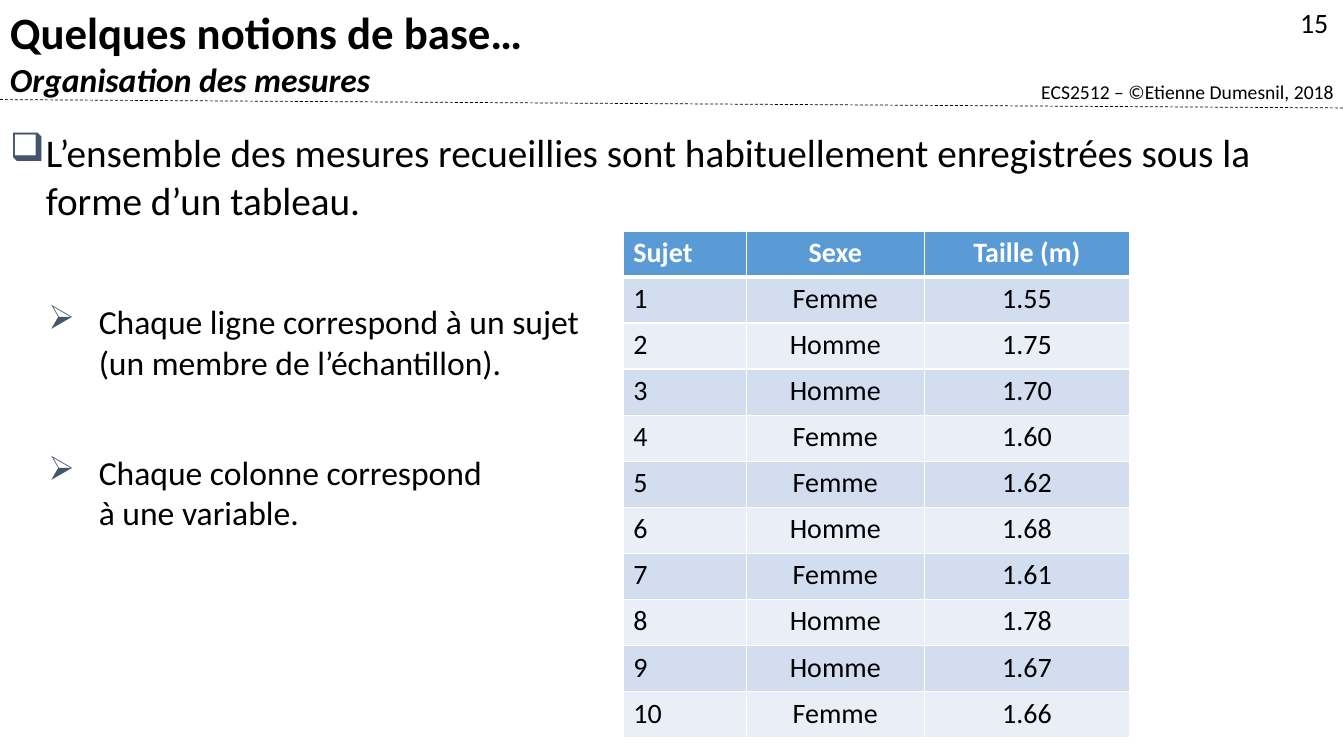
from lxml import etree
from pptx import Presentation
from pptx import util as u
from pptx.dml.color import RGBColor
from pptx.enum import dml, shapes, text
from pptx.oxml.ns import qn

SLIDE_WIDTH, SLIDE_HEIGHT = u.Cm(33.87), u.Cm(19.05)
LEFT, CENTER, RIGHT = text.PP_ALIGN.LEFT, text.PP_ALIGN.CENTER, text.PP_ALIGN.RIGHT
TOP, MIDDLE, BOTTOM = text.MSO_ANCHOR.TOP, text.MSO_ANCHOR.MIDDLE, text.MSO_ANCHOR.BOTTOM
BLACK, WHITE, SLATE = "000000", "FFFFFF", "44546A"
HEADER_BLUE, BANDS = "5B9BD5", ("D2DEEF", "EAEFF7")

HEADINGS = ("Sujet", "Sexe", "Taille (m)")
MEASURES = (
    ("Femme", "1.55"), ("Homme", "1.75"), ("Homme", "1.70"), ("Femme", "1.60"),
    ("Femme", "1.62"), ("Homme", "1.68"), ("Femme", "1.61"), ("Homme", "1.78"),
    ("Homme", "1.67"), ("Femme", "1.66"),
)


def color(hex_code):
    return RGBColor.from_string(hex_code)


def write(paragraph, words, size=20, ink=BLACK, bold=False, italic=False, align=LEFT):
    """Add one formatted run to a paragraph."""
    paragraph.alignment = align
    run = paragraph.add_run()
    run.text = words
    font = run.font
    font.name, font.size = "Calibri", u.Pt(size)
    font.bold, font.italic = bold, italic
    font.color.rgb = color(ink)


def add_frame(slide, left, top, width, height, anchor=TOP):
    box = slide.shapes.add_textbox(u.Cm(left), u.Cm(top), u.Cm(width), u.Cm(height))
    frame = box.text_frame
    frame.word_wrap = True
    frame.vertical_anchor = anchor
    return frame


def set_bullet(paragraph, mark, margin, indent):
    props = paragraph._p.get_or_add_pPr()
    props.set("marL", str(u.Cm(margin)))
    props.set("indent", str(u.Cm(indent)))
    bullet_color = etree.SubElement(props, qn("a:buClr"))
    etree.SubElement(bullet_color, qn("a:srgbClr"), val=SLATE)
    etree.SubElement(props, qn("a:buChar"), char=mark)


def set_borders(cell, bottom_width):
    props = cell._tc.get_or_add_tcPr()
    for side, width in (("L", 1), ("R", 1), ("T", 1), ("B", bottom_width)):
        border = etree.SubElement(props, qn(f"a:ln{side}"), w=str(u.Pt(width)))
        fill = etree.SubElement(border, qn("a:solidFill"))
        etree.SubElement(fill, qn("a:srgbClr"), val=WHITE)


def add_header(slide):
    credit = add_frame(slide, 25.32, 1.83, 8.55, 0.89, BOTTOM)
    write(credit.paragraphs[0], "ECS2512 – ©Etienne Dumesnil, 2018", size=14, align=RIGHT)

    title = add_frame(slide, 0, 0, 33.87, 2.72).paragraphs[0]
    write(title, "Quelques notions de base…", size=32, bold=True)
    title.add_line_break()
    write(title, "Organisation des mesures", size=24, bold=True, italic=True)

    page_number = add_frame(slide, 32.18, 0, 1.55, 1.12, MIDDLE)
    write(page_number.paragraphs[0], "15", align=RIGHT)


def add_divider(slide):
    divider = slide.shapes.add_connector(
        shapes.MSO_CONNECTOR.STRAIGHT, 0, u.Cm(2.51), SLIDE_WIDTH, u.Cm(2.72))
    divider.line.color.rgb = color(BLACK)
    divider.line.width = u.Pt(0.5)
    divider.line.dash_style = dml.MSO_LINE.DASH
    etree.SubElement(divider._element.spPr, qn("a:effectLst"))


def add_explanations(slide):
    body = add_frame(slide, 0, 3.12, 33.87, 15.9)
    statement = body.paragraphs[0]
    write(statement, "L’ensemble des mesures recueillies sont habituellement "
                     "enregistrées sous la forme d’un tableau.", size=28)
    set_bullet(statement, "❑", 0.91, -1.07)

    details = (
        (56, ("Chaque ligne correspond à un sujet ", "(un membre de l’échantillon).")),
        (50, ("Chaque colonne correspond ", "à une variable.")),
    )
    for gap, (first_line, second_line) in details:
        detail = body.add_paragraph()
        detail.level = 1
        detail.space_before = u.Pt(gap)
        write(detail, first_line, size=24)
        detail.add_line_break()
        write(detail, second_line, size=24)
        set_bullet(detail, "➢", 2.24, -1.27)


def add_measures(slide):
    rows = [HEADINGS] + [(str(n), *measure) for n, measure in enumerate(MEASURES, 1)]
    widths, row_height = (3.1, 4.48, 5.18), 1.16
    measures = slide.shapes.add_table(
        len(rows), len(widths), u.Cm(15.71), u.Cm(5.82),
        u.Cm(sum(widths)), u.Cm(row_height * len(rows))).table
    for column, width in zip(measures.columns, widths):
        column.width = u.Cm(width)
    for r, row in enumerate(rows):
        measures.rows[r].height = u.Cm(row_height)
        heading = r == 0
        for c, value in enumerate(row):
            cell = measures.cell(r, c)
            set_borders(cell, 3 if heading else 1)
            cell.fill.solid()
            cell.fill.fore_color.rgb = color(HEADER_BLUE if heading else BANDS[(r - 1) % 2])
            write(cell.text_frame.paragraphs[0], value, bold=heading,
                  ink=WHITE if heading else BLACK, align=CENTER if c else LEFT)


def main():
    deck = Presentation()
    deck.slide_width, deck.slide_height = SLIDE_WIDTH, SLIDE_HEIGHT
    slide = deck.slides.add_slide(deck.slide_layouts[6])

    # Title, credit line and page number, above the dashed divider
    add_header(slide)
    add_divider(slide)

    # Explanations on the left, table of measures on the right
    add_explanations(slide)
    add_measures(slide)

    deck.save("out.pptx")


if __name__ == "__main__":
    main()
